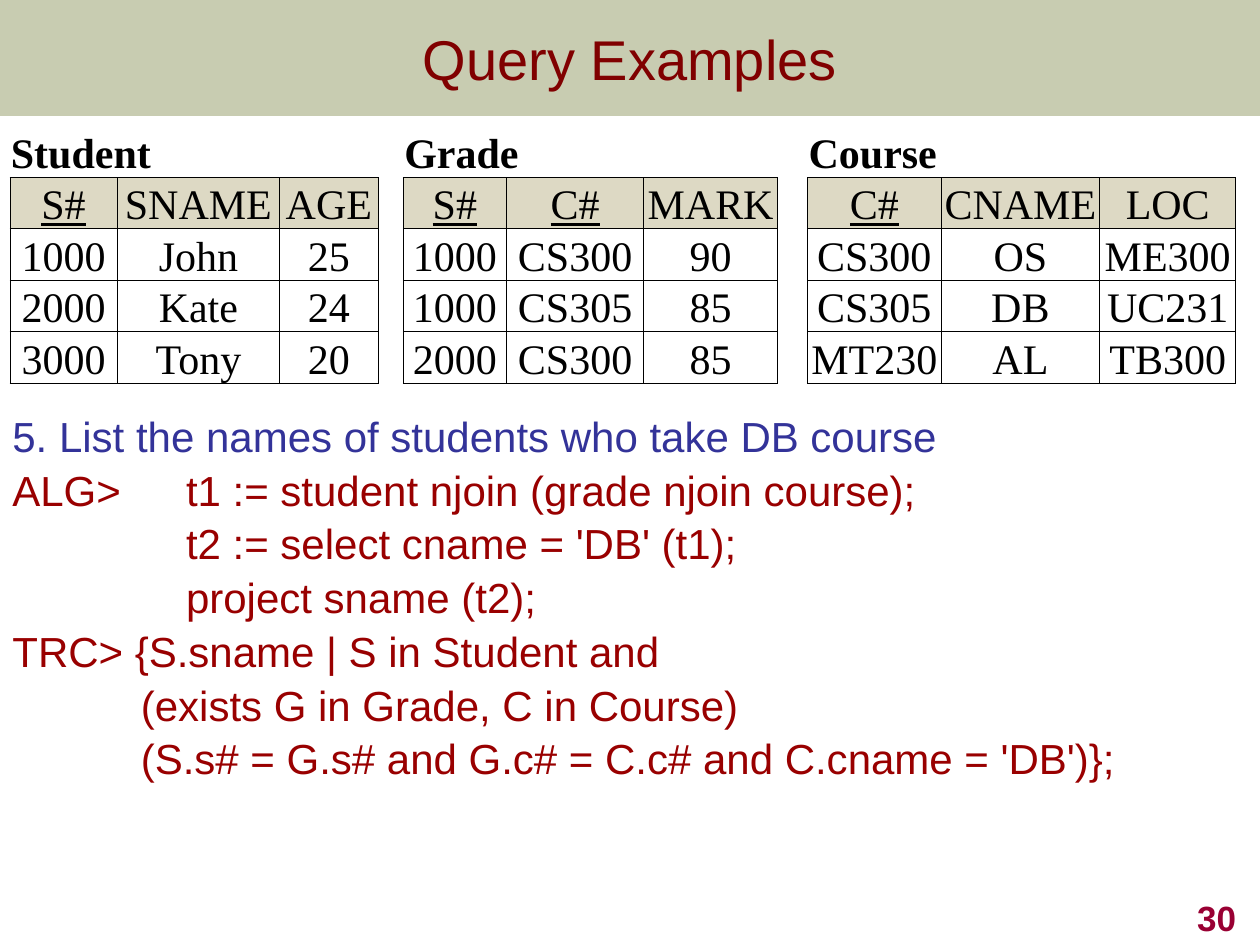
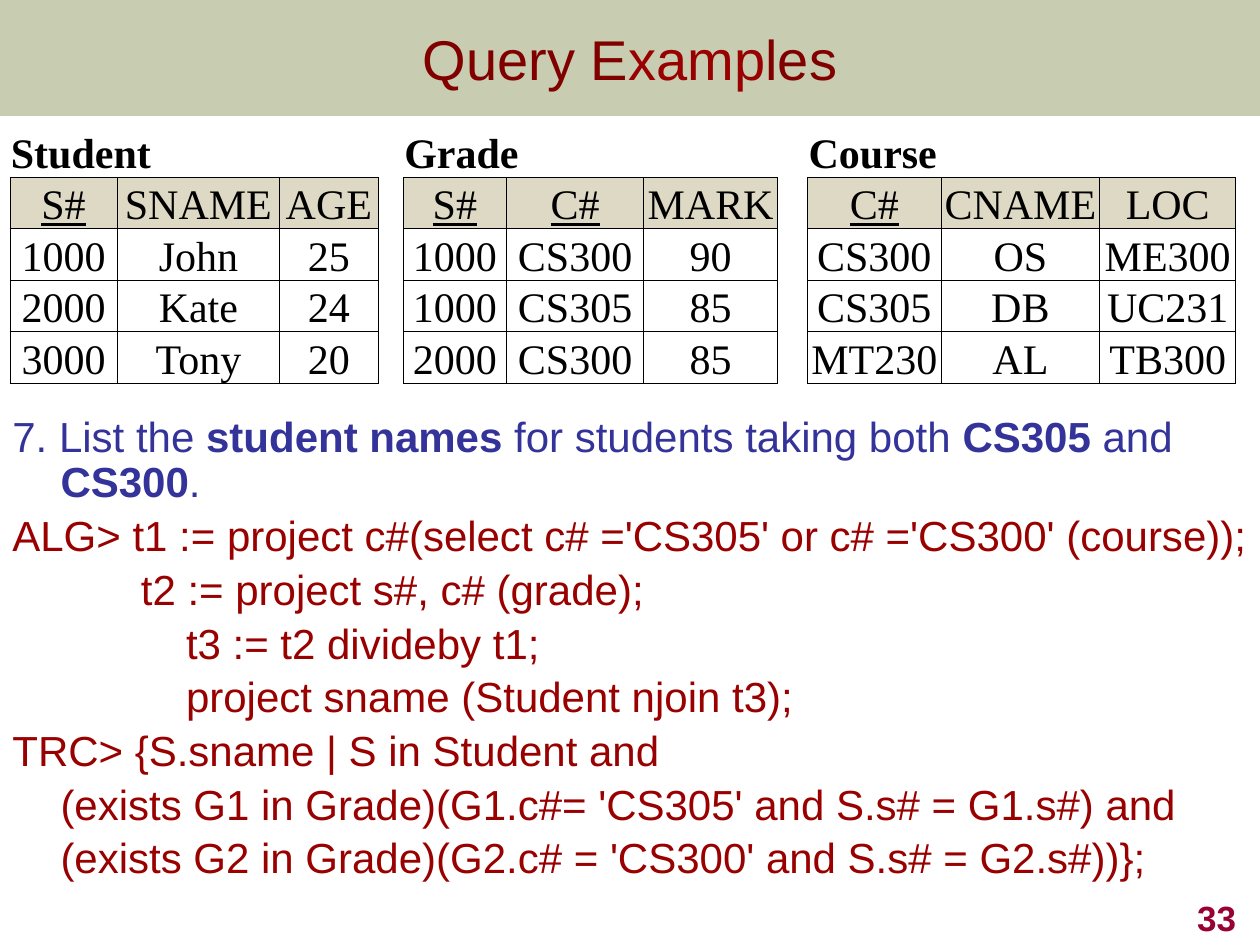
from dataclasses import dataclass
from pptx import Presentation
from pptx.dml.color import RGBColor
from pptx.enum.shapes import MSO_SHAPE
from pptx.enum.text import MSO_ANCHOR, MSO_AUTO_SIZE, PP_ALIGN
from pptx.oxml.ns import qn
from pptx.util import Cm, Pt
from lxml.etree import SubElement


@dataclass(frozen=True)
class Theme:
    band: str = "677228"
    band_opacity: int = 36
    title: str = "800000"
    query: str = "990000"
    question: str = "333399"
    number: str = "990033"
    ink: str = "000000"
    paper: str = "FFFFFF"
    header: str = "DDD9C4"
    sans: str = "Arial"
    serif: str = "Times New Roman"
    title_size: int = 32
    text_size: int = 24
    number_size: int = 20


THEME = Theme()
SLIDE_WIDTH, SLIDE_HEIGHT, BAND_HEIGHT = 25.4, 19.05, 2.34
ROW_HEIGHT = 0.97
HANG, STEP, TAB = 0.97, 2.59, 3.5

RELATIONS = [
    {"name": "Student", "widths": [2.16, 3.28, 1.98], "gap": 0.51, "keys": {"S#"},
     "rows": [("S#", "SNAME", "AGE"), ("1000", "John", "25"),
              ("2000", "Kate", "24"), ("3000", "Tony", "20")]},
    {"name": "Grade", "widths": [2.08, 2.77, 2.69], "gap": 0.61, "keys": {"S#", "C#"},
     "rows": [("S#", "C#", "MARK"), ("1000", "CS300", "90"),
              ("1000", "CS305", "85"), ("2000", "CS300", "85")]},
    {"name": "Course", "widths": [2.69, 3.2, 2.74], "gap": 0, "keys": {"C#"},
     "rows": [("C#", "CNAME", "LOC"), ("CS300", "OS", "ME300"),
              ("CS305", "DB", "UC231"), ("MT230", "AL", "TB300")]},
]

# Each line: left margin, first-line indent, text
PAGES = [
    {"number": "30", "body_size": (23.5, 9.09),
     "title": [("Query Examples", THEME.title)],
     "question": [("5. List the names of students who take DB course", False)],
     "lines": [
         (TAB, -TAB, "ALG>\tt1 := student njoin (grade njoin course);"),
         (TAB, 0, "t2 := select cname = 'DB' (t1);"),
         (TAB, 0, "project sname (t2);"),
         (HANG, -HANG, "TRC> {S.sname | S in Student and"),
         (STEP, 0, "(exists G in Grade, C in Course)"),
         (STEP, 0, "(S.s# = G.s# and G.c# = C.c# and C.cname = 'DB')};")]},
    {"number": "33", "body_size": (25.2, 8.89),
     "title": [("Query E", THEME.title), ("xamp", THEME.query), ("les", THEME.title)],
     "question": [("7. List the ", False), ("student names ", True),
                  ("for students taking both ", False), ("CS305", True),
                  (" and ", False), ("CS300", True), (".", False)],
     "lines": [
         (HANG, -HANG, "ALG> t1 := project c#(select c# ='CS305' or c# ='CS300' (course));"),
         (STEP, 0, "t2 := project s#, c# (grade);"),
         (TAB, 0, "t3 := t2 divideby t1;"),
         (TAB, 0, "project sname (Student njoin t3);"),
         (HANG, -HANG, "TRC> {S.sname | S in Student and"),
         (HANG, 0, "(exists G1 in Grade)(G1.c#= 'CS305' and S.s# = G1.s#) and"),
         (HANG, 0, "(exists G2 in Grade)(G2.c# = 'CS300' and S.s# = G2.s#))};")]},
]


def place(shape, left, top, width, height):
    shape.left, shape.top, shape.width, shape.height = map(Cm, (left, top, width, height))


def add_span(para, text, color, size=THEME.text_size, font=THEME.sans, bold=False, underline=False):
    span = para.add_run()
    span.text = text
    span.font.name, span.font.size = font, Pt(size)
    span.font.bold, span.font.underline = bold, underline
    span.font.color.rgb = RGBColor.from_string(color)


def add_band(page, layout):
    band = page.shapes.add_shape(MSO_SHAPE.RECTANGLE, 0, 0, Cm(SLIDE_WIDTH), Cm(BAND_HEIGHT))
    band.shadow.inherit = False
    band.line.fill.background()
    band.fill.solid()
    band.fill.fore_color.rgb = RGBColor.from_string(THEME.band)
    color = next(band.element.iter(qn("a:srgbClr")))
    SubElement(color, qn("a:alpha"), val=str(THEME.band_opacity * 1000))
    layout.shapes.element.insert(2, band.element)


def fill_title(title, spans):
    place(title, 0, 0, SLIDE_WIDTH, BAND_HEIGHT)
    frame = title.text_frame
    frame.auto_size, frame.vertical_anchor = MSO_AUTO_SIZE.NONE, MSO_ANCHOR.MIDDLE
    para = frame.paragraphs[0]
    para.alignment = PP_ALIGN.CENTER
    for text, color in spans:
        add_span(para, text, color, THEME.title_size)


def fill_body(body, content):
    place(body, 0, 8.26, *content["body_size"])
    frame = body.text_frame
    frame.auto_size, frame.vertical_anchor = MSO_AUTO_SIZE.NONE, MSO_ANCHOR.TOP
    frame.margin_left, frame.margin_right = Cm(0.25), 0
    frame.margin_top = frame.margin_bottom = Cm(0.13)
    question = [(text, THEME.question, bold) for text, bold in content["question"]]
    lines = [(HANG, -HANG, question)]
    lines += [(margin, indent, [(text, THEME.query, False)])
              for margin, indent, text in content["lines"]]
    for index, (margin, indent, spans) in enumerate(lines):
        para = frame.add_paragraph() if index else frame.paragraphs[0]
        properties = para._p.get_or_add_pPr()
        properties.set("marL", str(Cm(margin)))
        properties.set("indent", str(Cm(indent)))
        SubElement(properties, qn("a:buNone"))
        para.line_spacing = 0.9
        para.space_before = Pt(THEME.text_size * 0.2 if index else 0)
        for text, color, bold in spans:
            add_span(para, text, color, bold=bold)


def add_number(page, number):
    box = page.shapes.add_textbox(Cm(19.89), Cm(17.78), Cm(5.28), Cm(1.27))
    frame = box.text_frame
    frame.word_wrap, frame.vertical_anchor = True, MSO_ANCHOR.BOTTOM
    para = frame.paragraphs[0]
    para.alignment = PP_ALIGN.RIGHT
    add_span(para, number, THEME.number, THEME.number_size, bold=True)


def style_cell(cell, properties, color, borders):
    cell.margin_left = cell.margin_right = cell.margin_top = Cm(0.02)
    cell.margin_bottom = 0
    cell.vertical_anchor = MSO_ANCHOR.BOTTOM
    for side in "LRTB":
        line = SubElement(properties, qn(f"a:ln{side}"), w=str(Pt(0.5)))
        if side in borders:
            paint = SubElement(line, qn("a:solidFill"))
            SubElement(paint, qn("a:srgbClr"), val=THEME.ink)
        else:
            SubElement(line, qn("a:noFill"))
    cell.fill.solid()
    cell.fill.fore_color.rgb = RGBColor.from_string(color)


def add_relations(page):
    widths = []
    for relation in RELATIONS:
        widths += relation["widths"] + ([relation["gap"]] if relation["gap"] else [])
    row_count = 1 + len(RELATIONS[0]["rows"])
    frame = page.shapes.add_table(row_count, len(widths), Cm(0.2), Cm(2.54),
                                  Cm(sum(widths)), Cm(ROW_HEIGHT * row_count))
    table = frame.table
    for column, width in zip(table.columns, widths):
        column.width = Cm(width)
    for row in table.rows:
        row.height = Cm(ROW_HEIGHT)
    properties = [item.get_or_add_tcPr() for item in frame.element.iter(qn("a:tc"))]

    def styled(row, column, color, borders):
        cell = table.cell(row, column)
        style_cell(cell, properties[row * len(widths) + column], color, borders)
        return cell

    start = 0
    for relation in RELATIONS:
        end = start + len(relation["widths"])
        for column in range(start, end):
            styled(0, column, THEME.paper, "B")
        name = table.cell(0, start)
        name.merge(table.cell(0, end - 1))
        add_span(name.text_frame.paragraphs[0], relation["name"], THEME.ink,
                 font=THEME.serif, bold=True)
        for row, values in enumerate(relation["rows"], 1):
            color = THEME.header if row == 1 else THEME.paper
            for column, value in enumerate(values, start):
                para = styled(row, column, color, "LRTB").text_frame.paragraphs[0]
                para.alignment = PP_ALIGN.CENTER
                add_span(para, value, THEME.ink, font=THEME.serif,
                         underline=value in relation["keys"])
        if relation["gap"]:
            for row in range(row_count):
                styled(row, end, THEME.paper, "LR" if row else "")
        start = end + 1


def main():
    deck = Presentation()
    deck.slide_width, deck.slide_height = Cm(SLIDE_WIDTH), Cm(SLIDE_HEIGHT)
    layout = deck.slide_layouts[1]
    for index, content in enumerate(PAGES):
        page = deck.slides.add_slide(layout)
        if index == 0:
            add_band(page, layout)
        fill_title(page.shapes.title, content["title"])
        fill_body(page.placeholders[1], content)
        add_number(page, content["number"])
        add_relations(page)
    deck.save("out.pptx")


if __name__ == "__main__":
    main()
